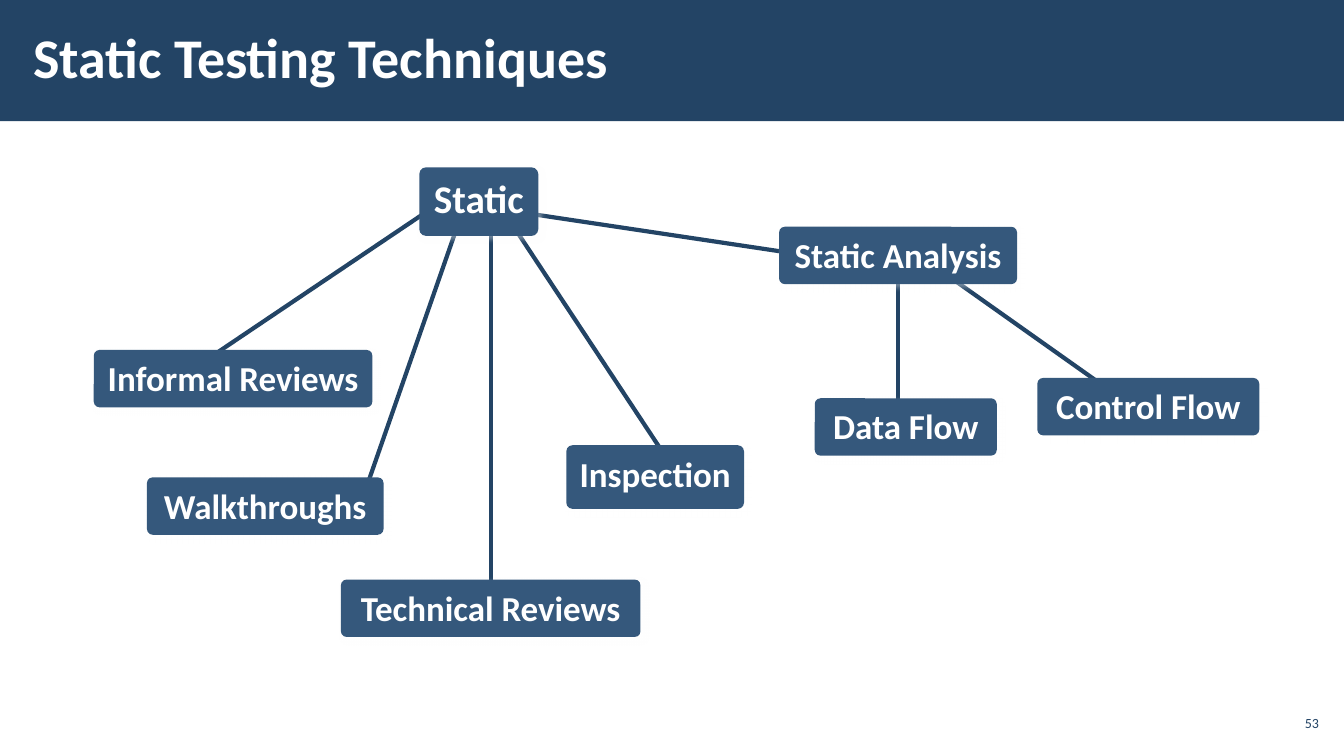
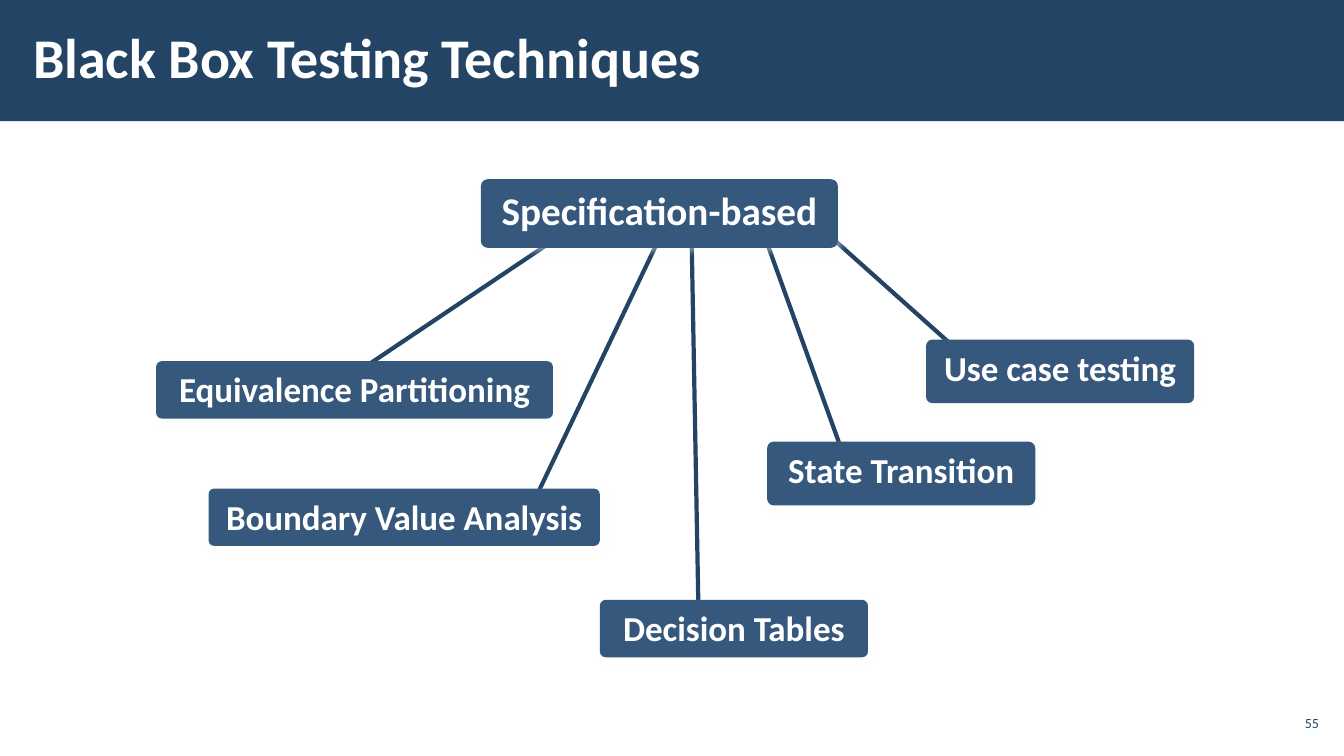
import pptx
import pptx.util
import pptx.dml.color
import pptx.enum.shapes
import pptx.enum.text
import lxml.etree
from dataclasses import dataclass

Pt = pptx.util.Pt
RGB = pptx.dml.color.RGBColor.from_string
Shape = pptx.enum.shapes.MSO_SHAPE
Link = pptx.enum.shapes.MSO_CONNECTOR
Align = pptx.enum.text.PP_ALIGN
Anchor = pptx.enum.text.MSO_ANCHOR
NS = "http://schemas.openxmlformats.org/drawingml/2006/main"
TOP, BOTTOM = 0, 2


@dataclass(frozen=True)
class Theme:
    font: str = "Calibri"
    navy: str = "234465"
    steel: str = "35587C"
    white: str = "FFFFFF"
    title: int = 40
    root: int = 28
    leaf: int = 25
    small: int = 10
    line: int = 3


theme = Theme()
WIDTH, HEIGHT = 960, 540
BAND = (0, 0, WIDTH, 86.5)
TITLE = (15, 8, 748, 70)
NUMBER = (911, 504, 34, 24.5)

# Content: boxes are (text, left, top, width, height), the root first;
# links are (from, to); joins are (link index, which end, box, side)
slides = [
    {
        "title": "Static Testing Techniques",
        "number": "53",
        "boxes": [
            ("Static", 299.5, 119.5, 85, 49),
            ("Informal Reviews", 67, 250, 199, 41),
            ("Static Analysis", 556.5, 162, 170, 41),
            ("Data Flow", 582, 284.5, 130, 41),
            ("Walkthroughs", 105, 341, 169, 41),
            ("Technical Reviews", 243.5, 414, 214, 41),
            ("Inspection", 404.5, 318, 127, 45.5),
            ("Control Flow", 741, 270, 158.5, 41),
        ],
        "links": [
            ((808.5, 290), (664.5, 188)),
            ((641.5, 296), (641.5, 203)),
            ((617, 188.5), (350.5, 148.5)),
            ((350.5, 414), (350.5, 155)),
            ((475, 325.5), (367, 162)),
            ((260, 353), (329, 155)),
            ((152, 254), (317, 143)),
        ],
        "joins": [
            (1, "end", "Static Analysis", BOTTOM),
            (3, "begin", "Technical Reviews", TOP),
        ],
    },
    {
        "title": "Black Box Testing Techniques",
        "number": "55",
        "boxes": [
            ("Specification-based", 343.5, 128, 255, 49),
            ("Equivalence Partitioning", 111.5, 258, 283.5, 41),
            ("Boundary Value Analysis", 149, 349, 279.5, 41),
            ("Decision Tables", 428.5, 428.5, 191.5, 41),
            ("State Transition", 548, 315.5, 191.5, 45.5),
            ("Use case testing", 661.5, 242.5, 191.5, 45.5),
        ],
        "links": [
            ((246, 272), (412, 160.5)),
            ((380, 361), (473, 166)),
            ((499, 440.5), (494, 168.5)),
            ((607, 337.5), (545, 165.5)),
            ((704, 268), (582, 159)),
        ],
        "joins": [],
    },
]


def place(at):
    return [Pt(n) for n in at]


def write(shape, text, size, color=theme.white, bold=True, align=Align.LEFT,
          anchor=Anchor.MIDDLE, inset=(7.2, 3.6), wrap=True, space=None):
    frame = shape.text_frame
    frame.auto_size = pptx.enum.text.MSO_AUTO_SIZE.NONE
    frame.word_wrap = wrap
    frame.vertical_anchor = anchor
    frame.margin_left = frame.margin_right = Pt(inset[0])
    frame.margin_top = frame.margin_bottom = Pt(inset[1])
    para = frame.paragraphs[0]
    para.alignment = align
    if space:
        para.line_spacing = space
    run = para.add_run()
    run.text = text
    run.font.name = theme.font
    run.font.size = Pt(size)
    run.font.bold = bold
    run.font.color.rgb = RGB(color)


def paint(shape, color):
    shape.shadow.inherit = False
    shape.fill.solid()
    shape.fill.fore_color.rgb = RGB(color)
    shape.line.fill.background()


def glow(shape):
    # Soft white shadow, falling to the lower right
    effects = shape.element.spPr.find(f"{{{NS}}}effectLst")
    effects.append(lxml.etree.fromstring(
        f'<a:outerShdw xmlns:a="{NS}" blurRad="{Pt(4)}" dist="{Pt(3)}" '
        f'dir="2700000" algn="tl" rotWithShape="0">'
        f'<a:srgbClr val="{theme.white}"><a:alpha val="40000"/></a:srgbClr>'
        f'</a:outerShdw>'))


def draw_link(slide, start, end):
    link = slide.shapes.add_connector(Link.STRAIGHT, *place(start + end))
    link.line.color.rgb = RGB(theme.navy)
    link.line.width = Pt(theme.line)
    lxml.etree.SubElement(link.element.spPr, f"{{{NS}}}effectLst")
    return link


def draw_box(slide, text, at, size):
    box = slide.shapes.add_shape(Shape.ROUNDED_RECTANGLE, *place(at))
    box.adjustments[0] = 0.1
    paint(box, theme.steel)
    glow(box)
    write(box, text, size, align=Align.CENTER, anchor=Anchor.TOP, wrap=False)
    return box


def set_layout(deck, layout):
    # Band and title place, shared by every slide
    head = layout.placeholders[0]
    head.left, head.top, head.width, head.height = place(TITLE)
    band = deck.slide_master.shapes
    return band, head


def add_band(slide, layout):
    band = slide.shapes.add_shape(Shape.RECTANGLE, *place(BAND))
    paint(band, theme.navy)
    layout.shapes.element.insert(2, band.element)


def build(slide, data):
    # Links lie behind the boxes
    links = [draw_link(slide, *ends) for ends in data["links"]]
    write(slide.shapes.title, data["title"], theme.title,
          inset=(8.64, 2.88), space=0.9)
    boxes = {}
    for rank, (text, *at) in enumerate(data["boxes"]):
        size = theme.leaf if rank else theme.root
        boxes[text] = draw_box(slide, text, at, size)
    for index, end, name, side in data["joins"]:
        link = links[index]
        join = link.begin_connect if end == "begin" else link.end_connect
        join(boxes[name], side)
    # Slide number
    note = slide.shapes.add_textbox(*place(NUMBER))
    write(note, data["number"], theme.small, color=theme.navy, bold=False,
          align=Align.RIGHT, inset=(2.88, 2.88))


def main():
    deck = pptx.Presentation()
    deck.slide_width, deck.slide_height = Pt(WIDTH), Pt(HEIGHT)
    layout = deck.slide_layouts.get_by_name("Title Only")
    set_layout(deck, layout)
    for index, data in enumerate(slides):
        slide = deck.slides.add_slide(layout)
        if index == 0:
            add_band(slide, layout)
        build(slide, data)
    deck.save("out.pptx")


if __name__ == "__main__":
    main()
